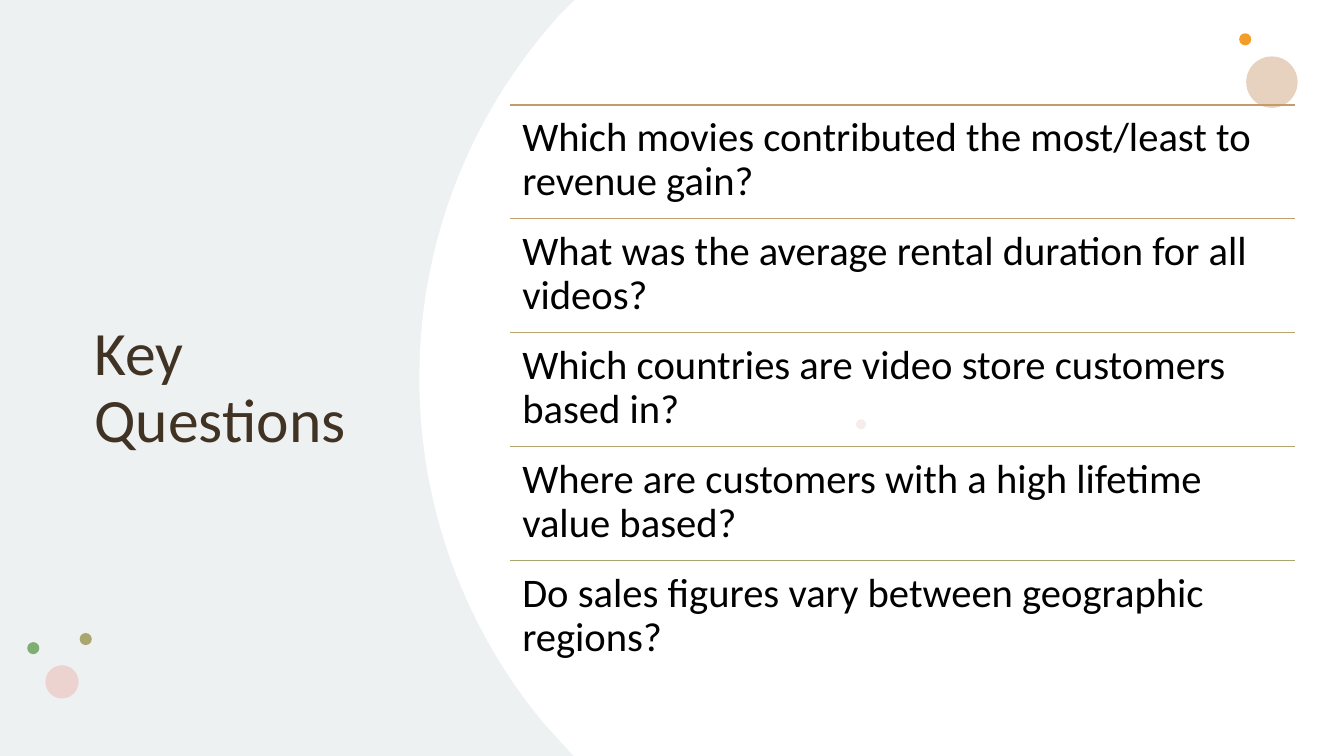
from lxml import etree
from pptx import Presentation
from pptx.dml.color import RGBColor
from pptx.enum.shapes import MSO_CONNECTOR, MSO_SHAPE
from pptx.enum.text import MSO_ANCHOR
from pptx.oxml.ns import qn
from pptx.util import Inches, Pt

RECT, OVAL = MSO_SHAPE.RECTANGLE, MSO_SHAPE.OVAL
STRAIGHT = MSO_CONNECTOR.STRAIGHT
TOP, MIDDLE = MSO_ANCHOR.TOP, MSO_ANCHOR.MIDDLE
FONT = "Calibri"
COLORS = {
    "white": "FFFFFF", "panel": "C8D2D4", "title": "413324", "text": "000000",
    "sand": "DDC2A6", "orange": "F39E29", "rose": "E3BEBE",
    "olive": "AAA66F", "pink": "EDD3D0", "green": "80AE72",
    "rule 1": "C79A6B", "rule 2": "C0A06C", "rule 3": "B9A46C",
    "rule 4": "B2A66E", "rule 5": "AAA66F",
}


def paint(sp, color, alpha=100):
    sp.shadow.inherit = False
    sp.line.fill.background()
    sp.fill.solid()
    sp.fill.fore_color.rgb = RGBColor.from_string(COLORS[color])
    if alpha < 100:
        clr = sp._element.spPr.find(qn("a:solidFill"))[0]
        etree.SubElement(clr, qn("a:alpha")).set("val", str(alpha * 1000))


def add_text(text, box, size, color, inset, anchor):
    sp = slide.shapes.add_textbox(*[Inches(v) for v in box])
    tf = sp.text_frame
    tf.word_wrap = True
    tf.vertical_anchor = anchor
    tf.margin_left = tf.margin_right = Inches(inset[0])
    tf.margin_top = tf.margin_bottom = Inches(inset[1])
    tf.text = text
    p = tf.paragraphs[0]
    p.line_spacing = 0.9
    font = p.runs[0].font
    font.name, font.size = FONT, Pt(size)
    font.color.rgb = RGBColor.from_string(COLORS[color])


prs = Presentation()
prs.slide_width, prs.slide_height = Inches(13.33), Inches(7.5)
slide = prs.slides.add_slide(prs.slide_layouts[6])

# Tinted panel over a white background
slide.background.fill.solid()
slide.background.fill.fore_color.rgb = RGBColor.from_string(COLORS["white"])
panel = slide.shapes.add_shape(RECT, 0, 0, prs.slide_width, prs.slide_height)
paint(panel, "panel", 30)

# White area with a curved left edge, sampled from two Bezier arcs
arcs = [
    [(5.39, 7.17), (4.62, 6.24), (4.16, 5.05), (4.16, 3.75)],
    [(4.16, 3.75), (4.16, 2.36), (4.69, 1.1), (5.56, 0.14)],
]
STEPS = 30
points = [(13.33, 0), (13.33, 7.5), (5.69, 7.5)]
for arc in arcs:
    for i in range(STEPS + 1):
        t = i / STEPS
        weights = [(1 - t) ** 3, 3 * t * (1 - t) ** 2, 3 * t * t * (1 - t), t ** 3]
        points.append(tuple(sum(w * pt[axis] for w, pt in zip(weights, arc))
                            for axis in (0, 1)))
builder = slide.shapes.build_freeform(Inches(5.7), 0)
builder.add_line_segments([(Inches(x), Inches(y)) for x, y in points])
paint(builder.convert_to_shape(), "white")

# Decorative dots: left, top, diameter, colour, opacity
dots = [
    (12.36, 0.56, 0.51, "sand", 72),
    (12.29, 0.33, 0.12, "orange", 100),
    (8.49, 4.16, 0.1, "rose", 28),
    (0.79, 6.28, 0.12, "olive", 100),
    (0.45, 6.6, 0.33, "pink", 100),
    (0.27, 6.37, 0.12, "green", 100),
]
for x, y, d, color, alpha in dots:
    sp = slide.shapes.add_shape(OVAL, Inches(x), Inches(y), Inches(d), Inches(d))
    paint(sp, color, alpha)

# Title
add_text("Key Questions", (0.84, 1.04, 3.13, 5.64), 44, "title", (0.1, 0.05), MIDDLE)

# Questions, each under a rule
questions = [
    "Which movies contributed the most/least to revenue gain?",
    "What was the average rental duration for all videos?",
    "Which countries are video store customers based in?",
    "Where are customers with a high lifetime value based?",
    "Do sales figures vary between geographic regions?",
]
LEFT, FIRST_TOP, WIDTH, ROW = 5.06, 1.04, 7.78, 1.13
for i, question in enumerate(questions):
    y = FIRST_TOP + i * ROW
    rule = slide.shapes.add_connector(STRAIGHT, Inches(LEFT), Inches(y),
                                      Inches(LEFT + WIDTH), Inches(y))
    rule.line.color.rgb = RGBColor.from_string(COLORS[f"rule {i + 1}"])
    rule.line.width = Pt(1)
    etree.SubElement(rule._element.spPr, qn("a:effectLst"))
    add_text(question, (LEFT, y, WIDTH, ROW), 29, "text", (0.12, 0.12), TOP)

prs.save("out.pptx")
